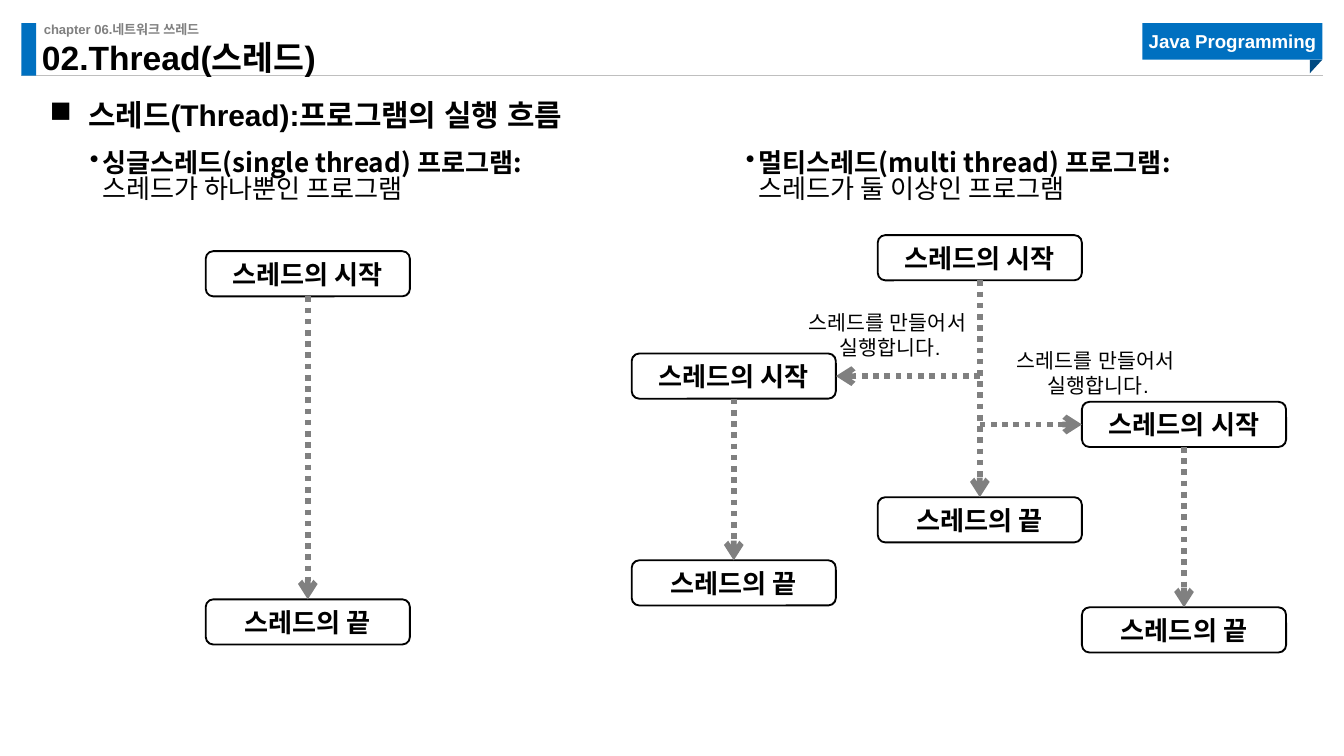
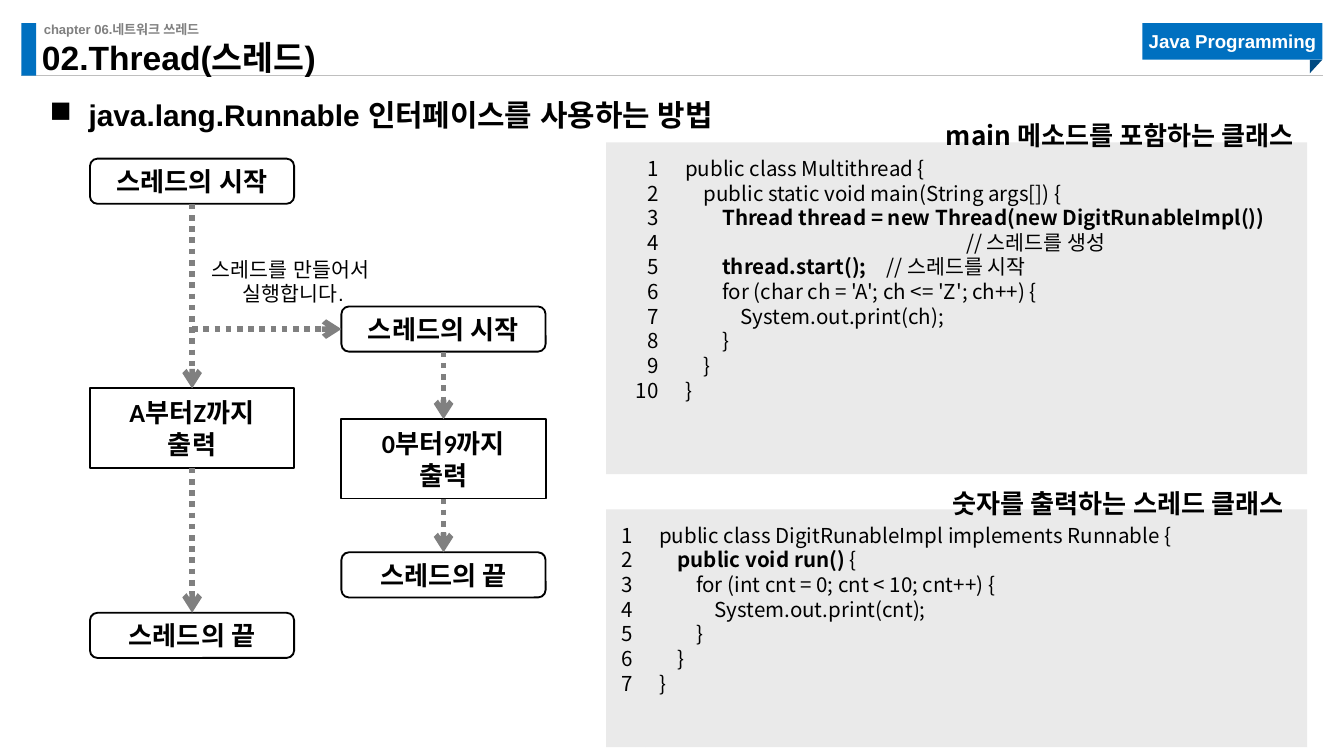
import pptx
import pptx.util
import pptx.dml.color
import pptx.enum.dml
import pptx.enum.shapes
import pptx.enum.text
import pptx.oxml.ns
from dataclasses import dataclass
from lxml import etree

START, END = "스레드의 시작", "스레드의 끝"
SPAWN = "스레드를 만들어서 \n실행합니다."
CHAPTER = "chapter 06.네트워크 쓰레드"
TITLE = "02.Thread(스레드)"
COURSE = "Java Programming"

LESSONS = [
    {
        "topic": "스레드(Thread):프로그램의 실행 흐름",
        "definitions": [
            (39.6, "싱글스레드(single thread) 프로그램: \n", "스레드가 하나뿐인 프로그램"),
            (391, "멀티스레드(multi thread) 프로그램: \n", "스레드가 둘 이상인 프로그램"),
        ],
        "flows": [
            [(110.2, [(134.6, START), (321.1, END)])],
            [
                (470.2, [(126, START), (266.4, END)]),
                (338.4, [(189.4, START), (300.2, END)]),
                (579.6, [(215.3, START), (325.4, END)]),
            ],
        ],
        "notes": [(421.2, 162.7), (532.8, 182.9)],
        "listings": [],
    },
    {
        "topic": "java.lang.Runnable 인터페이스를 사용하는 방법",
        "definitions": [],
        "flows": [
            [
                (48.2, [(85, START), (208.1, "A부터Z까지\n출력"), (328.3, END)]),
                (182.9, [(164.2, START), (224.6, "0부터9까지\n출력"), (295.9, END)]),
            ],
        ],
        "notes": [(101.5, 133.9)],
        "listings": [
            {
                "heading": "main 메소드를 포함하는 클래스",
                "heading_box": (491, 60.5, 218.2, 24.5),
                "top": 76.3, "height": 177.8, "gutter": 35.3,
                "code": [
                    (0, [("public class Multithread {", False)]),
                    (1, [("public static void main(String args[]) {", False)]),
                    (2, [("Thread thread = new Thread(new DigitRunableImpl())", True)]),
                    (15.2, [("// 스레드를 생성", False)]),
                    (2, [("thread.start();", True), ("\t// 스레드를 시작", False)]),
                    (2, [("for (char ch = 'A'; ch <= 'Z'; ch++) {", False)]),
                    (3, [("System.out.print(ch);", False)]),
                    (2, [("}", False)]),
                    (1, [("}", False)]),
                    (0, [("}", False)]),
                ],
            },
            {
                "heading": "숫자를 출력하는 스레드 클래스",
                "heading_box": (492.5, 257.8, 213.1, 24.5),
                "top": 272.9, "height": 127.4, "gutter": 21.3,
                "code": [
                    (0, [("public class DigitRunableImpl implements Runnable {", False)]),
                    (1, [("public void run() ", True), ("{", False)]),
                    (2, [("for (int cnt = 0; cnt < 10; cnt++) {", False)]),
                    (3, [("System.out.print(cnt);", False)]),
                    (2, [("}", False)]),
                    (1, [("}", False)]),
                    (0, [("}", False)]),
                ],
            },
        ],
    },
]


@dataclass(frozen=True)
class Theme:
    blue: str = "0070C0"
    fold: str = "004A82"
    ink: str = "000000"
    white: str = "FFFFFF"
    grey: str = "808080"
    rule: str = "BFBFBF"
    panel: str = "EAEAEA"
    head_font: str = "Arial"
    node_font: str = "Calibri"
    code_font: str = "Noto Sans CJK KR"
    chapter: float = 7
    course: float = 10
    small: float = 11
    body: float = 14
    topic: float = 16
    title: float = 18


T = Theme()
Pt = pptx.util.Pt
SHAPES = pptx.enum.shapes.MSO_SHAPE
ALIGN = pptx.enum.text.PP_ALIGN
ANCHOR = pptx.enum.text.MSO_ANCHOR
NODE_W, NODE_H, STEP_H = 109.4, 24.2, 42.5
PANEL_LEFT, PANEL_W, INDENT, COMMENT_TAB = 324.7, 375.6, 9.9, 184.5


def rgb(value):
    return pptx.dml.color.RGBColor.from_string(value)


def child(parent, tag, **attributes):
    return etree.SubElement(parent, pptx.oxml.ns.qn(tag), **attributes)


def set_frame(shape, insets=(0, 0, 0, 0), anchor=ANCHOR.TOP, wrap=True):
    frame = shape.text_frame
    frame.word_wrap = wrap
    frame.vertical_anchor = anchor
    frame.margin_left, frame.margin_top, frame.margin_right, frame.margin_bottom = map(Pt, insets)
    return frame


def write(paragraph, runs, font, size, color=T.ink, align=ALIGN.LEFT, spacing=None):
    paragraph.alignment = align
    if spacing:
        paragraph.line_spacing = spacing
    for text, bold in runs:
        for index, piece in enumerate(text.split("\n")):
            if index:
                paragraph.add_line_break()
            if piece:
                run = paragraph.add_run()
                run.text = piece
                run.font.size, run.font.bold, run.font.name = Pt(size), bold, font
                run.font.color.rgb = rgb(color)
                child(run._r.get_or_add_rPr(), "a:ea", typeface=font)


def indent(paragraph, left, first, bullet=None):
    properties = paragraph._p.get_or_add_pPr()
    properties.set("marL", str(int(Pt(left))))
    properties.set("indent", str(int(Pt(first))))
    if bullet:
        child(properties, "a:buChar", char=bullet)
    return properties


def text_box(slide, box, **frame):
    return set_frame(slide.shapes.add_textbox(*map(Pt, box)), **frame).paragraphs[0]


def block(slide, kind, box, fill=None, outline=None):
    shape = slide.shapes.add_shape(kind, *map(Pt, box))
    shape.shadow.inherit = False
    if fill:
        shape.fill.solid()
        shape.fill.fore_color.rgb = rgb(fill)
    else:
        shape.fill.background()
    if outline:
        shape.line.color.rgb = rgb(outline)
        shape.line.width = Pt(1)
    else:
        shape.line.fill.background()
    return shape


def connect(slide, start, end, color, width, arrow=False):
    link = slide.shapes.add_connector(
        pptx.enum.shapes.MSO_CONNECTOR.STRAIGHT, *map(Pt, start + end))
    link.line.color.rgb = rgb(color)
    link.line.width = Pt(width)
    if arrow:
        link.line.dash_style = pptx.enum.dml.MSO_LINE.ROUND_DOT
        child(link.line._get_or_add_ln(), "a:tailEnd", type="arrow")
    child(link._element.spPr, "a:effectLst")


def add_header(slide, topic):
    connect(slide, (11.5, 40.5), (708.5, 40.5), T.rule, 0.5)
    block(slide, SHAPES.RECTANGLE, (11.5, 12.4, 7.9, 28.2), T.blue)
    write(text_box(slide, (23.5, 11.5, 232.6, 8.6)), [(CHAPTER, True)],
          T.head_font, T.chapter, T.grey)
    ribbon = block(slide, SHAPES.RECTANGLE, (612, 12.4, 96.5, 19.6), T.blue)
    write(set_frame(ribbon, anchor=ANCHOR.MIDDLE).paragraphs[0], [(COURSE, True)],
          T.head_font, T.course, T.white, ALIGN.CENTER)
    block(slide, SHAPES.RIGHT_TRIANGLE, (701.4, 32.4, 7.2, 6.6), T.fold).rotation = 90
    write(text_box(slide, (22.5, 25.2, 237.6, 16.6), anchor=ANCHOR.BOTTOM), [(TITLE, True)],
          T.head_font, T.title, spacing=0.9)
    heading = text_box(slide, (26.6, 42.5, 686.9, 23.8))
    write(heading, [(topic, True)], T.head_font, T.topic, spacing=1.5)
    indent(heading, 20.9, -20.9, "■")


def add_definition(slide, left, term, meaning):
    paragraph = text_box(slide, (left, 80.6, 272.2, 33.8), insets=(8.6, 1, 7.2, 3.6))
    write(paragraph, [(term, True), (meaning, False)], T.code_font, T.body, spacing=0.82)
    indent(paragraph, 6.5, -6.5, "•")


def add_flow(slide, threads):
    main_left = threads[0][0]
    main_axis = main_left + NODE_W / 2
    for left, nodes in threads:
        axis, previous_bottom = left + NODE_W / 2, None
        for top, label in nodes:
            is_step = "\n" in label
            height = STEP_H if is_step else NODE_H
            node = block(slide, SHAPES.ROUNDED_RECTANGLE, (left, top, NODE_W, height),
                         outline=T.ink)
            if is_step:
                node.adjustments[0] = 0
            frame = set_frame(node, (7.2, 3.6, 7.2, 3.6), ANCHOR.MIDDLE)
            write(frame.paragraphs[0], [(label, True)], T.node_font, T.body, align=ALIGN.CENTER)
            if previous_bottom is not None:
                connect(slide, (axis, previous_bottom), (axis, top), T.grey, 3, True)
            previous_bottom = top + height
        if left != main_left:
            branch_y = nodes[0][0] + NODE_H / 2
            near_edge = left if left > main_left else left + NODE_W
            connect(slide, (main_axis, branch_y), (near_edge, branch_y), T.grey, 3, True)


def add_listing(slide, listing):
    gutter, code = listing["gutter"], listing["code"]
    numbers = [(0, [(str(number + 1), False)]) for number in range(len(code))]
    columns = [
        (PANEL_LEFT, gutter, numbers, ALIGN.RIGHT),
        (PANEL_LEFT + gutter, PANEL_W - gutter, code, ALIGN.JUSTIFY),
    ]
    for left, width, lines, align in columns:
        panel = block(slide, SHAPES.RECTANGLE,
                      (left, listing["top"], width, listing["height"]), T.panel)
        frame = set_frame(panel, (7.2, 7.2, 7.2, 7.2))
        for index, (level, runs) in enumerate(lines):
            paragraph = frame.add_paragraph() if index else frame.paragraphs[0]
            write(paragraph, runs, T.code_font, T.small, align=align)
            properties = indent(paragraph, 0, level * INDENT)
            if any("\t" in text for text, _ in runs):
                child(child(properties, "a:tabLst"), "a:tab",
                      pos=str(int(Pt(COMMENT_TAB))), algn="l")
    write(text_box(slide, listing["heading_box"], insets=(7.2, 3.6, 7.2, 3.6), wrap=False),
          [(listing["heading"], True)], T.code_font, T.body, align=ALIGN.CENTER)


def main():
    """Build the thread lesson slides."""
    deck = pptx.Presentation()
    deck.slide_width, deck.slide_height = Pt(720), Pt(405)
    for lesson in LESSONS:
        slide = deck.slides.add_slide(deck.slide_layouts[6])
        add_header(slide, lesson["topic"])
        for definition in lesson["definitions"]:
            add_definition(slide, *definition)
        for threads in lesson["flows"]:
            add_flow(slide, threads)
        for left, top in lesson["notes"]:
            note = text_box(slide, (left, top, 111.2, 33.8),
                            insets=(7.2, 3.6, 7.2, 3.6), wrap=False)
            write(note, [(SPAWN, False)], T.head_font, T.small, align=ALIGN.CENTER)
        for listing in lesson["listings"]:
            add_listing(slide, listing)
    deck.save("out.pptx")


main()
